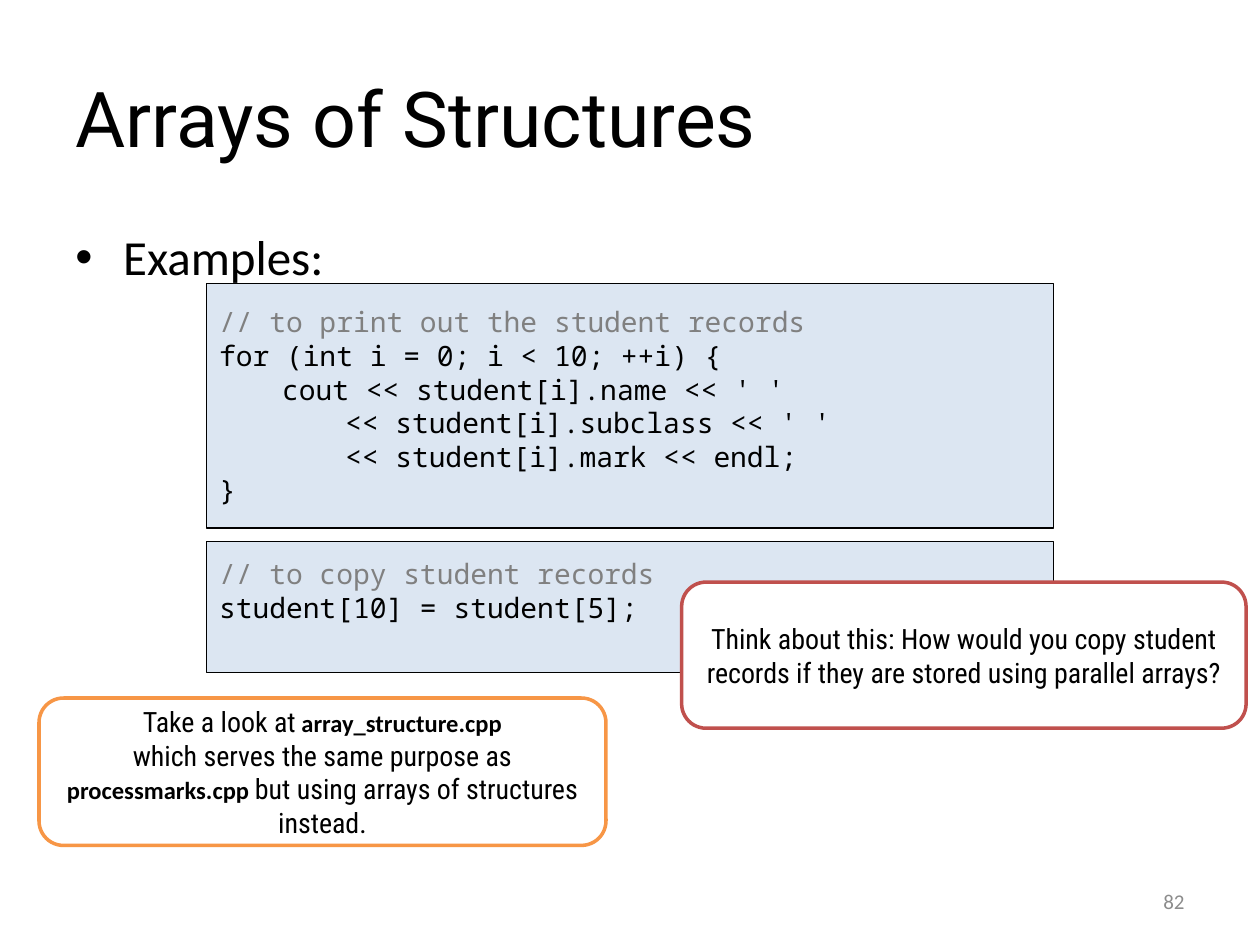
from lxml import etree
from pptx import Presentation
from pptx import util as u
from pptx.dml.color import RGBColor
from pptx.enum import shapes, text
from pptx.oxml.ns import qn

COLORS = {"ink": "000000", "comment": "808080", "number": "8C8C8C", "code": "DCE6F2",
          "paper": "FFFFFF", "red": "C0504D", "orange": "F79646"}

# Text styles: font, size, colour, bold
STYLES = {
    "title": ("Roboto", 44, "ink", False),
    "body": ("Calibri", 28, "ink", False),
    "number": ("Calibri", 12, "number", False),
    "comment": ("Noto Sans Mono", 16, "comment", False),
    "code": ("Noto Sans Mono", 16, "ink", False),
    "note": ("Roboto Condensed", 16, "ink", False),
    "gap": ("Cabin", 14, "ink", False),
    "file": ("Calibri", 14, "ink", True),
}

# Each paragraph is a list of (style, words)
TITLE = [[("title", "Arrays of Structures")]]
BODY = [[("body", "Examples:")]]
NUMBER = [[("number", "82")]]
PRINT_CODE = [
    [("comment", "// to print out the student records")],
    [("code", "for (int i = 0; i < 10; ++i) {")],
    [("code", "\tcout << student[i].name << ' '")],
    [("code", "\t\t<< student[i].subclass << ' '")],
    [("code", "\t\t<< student[i].mark << endl;")],
    [("code", "}")],
]
COPY_CODE = [
    [("comment", "// to copy student records")],
    [("code", "student[10] = student[5];")],
]
QUESTION = [[("note", "Think about this: How would you copy student records "
                      "if they are stored using parallel arrays?")]]
HINT = [
    [("note", "Take a look at"), ("gap", " "), ("file", "array_structure.cpp")],
    [("note", "which serves the same purpose as "), ("file", "processmarks.cpp "),
     ("note", "but using arrays of structures instead.")],
]

WIDTH, HEIGHT = 10, 7.5
MARGIN = WIDTH * 0.05
INNER = WIDTH - 2 * MARGIN
CODE_WIDTH = 6.72
CODE_LEFT = (WIDTH - CODE_WIDTH) / 2
TAB = 0.5
BULLET_INDENT = 0.38
CODE_LINE = 0.27

LEFT, CENTER, RIGHT = text.PP_ALIGN.LEFT, text.PP_ALIGN.CENTER, text.PP_ALIGN.RIGHT
MIDDLE, TOP = text.MSO_ANCHOR.MIDDLE, text.MSO_ANCHOR.TOP
RECT, ROUNDED = shapes.MSO_SHAPE.RECTANGLE, shapes.MSO_SHAPE.ROUNDED_RECTANGLE


def rgb(name):
    return RGBColor.from_string(COLORS[name])


def write(shape, paragraphs, align=LEFT, anchor=MIDDLE):
    frame = shape.text_frame
    frame.word_wrap = True
    frame.vertical_anchor = anchor
    for index, spans in enumerate(paragraphs):
        para = frame.add_paragraph() if index else frame.paragraphs[0]
        para.alignment = align
        for style, words in spans:
            span = para.add_run()
            span.text = words
            span.font.name, size, color, span.font.bold = STYLES[style]
            span.font.size = u.Pt(size)
            span.font.color.rgb = rgb(color)


def add_text(page, place, paragraphs, **layout):
    box = page.shapes.add_textbox(*map(u.Inches, place))
    write(box, paragraphs, **layout)
    return box


def add_panel(page, kind, place, fill, line, weight, paragraphs, align=LEFT):
    panel = page.shapes.add_shape(kind, *map(u.Inches, place))
    panel.shadow.inherit = False
    panel.fill.solid()
    panel.fill.fore_color.rgb = rgb(fill)
    panel.line.color.rgb = rgb(line)
    panel.line.width = u.Pt(weight)
    write(panel, paragraphs, align)
    return panel


def add_bullet(para):
    props = para._p.get_or_add_pPr()
    props.set("marL", str(u.Inches(BULLET_INDENT)))
    props.set("indent", str(-u.Inches(BULLET_INDENT)))
    etree.SubElement(props, qn("a:buFont"), typeface="Arial")
    etree.SubElement(props, qn("a:buChar"), char="•")


def add_tabs(para, count=2):
    stops = etree.SubElement(para._p.get_or_add_pPr(), qn("a:tabLst"))
    for step in range(1, count + 1):
        etree.SubElement(stops, qn("a:tab"), pos=str(u.Inches(TAB * step)), algn="l")


def main():
    deck = Presentation()
    deck.slide_width, deck.slide_height = u.Inches(WIDTH), u.Inches(HEIGHT)
    page = deck.slides.add_slide(deck.slide_layouts[6])

    add_text(page, (MARGIN, 0.3, INNER, 1.25), TITLE)
    body = add_text(page, (MARGIN, 1.75, INNER, 4.95), BODY, anchor=TOP)
    add_bullet(body.text_frame.paragraphs[0])
    add_text(page, (WIDTH - MARGIN - 2.33, 6.95, 2.33, 0.4), NUMBER, align=RIGHT)

    for top, height, code in ((2.25, 1.94, PRINT_CODE), (4.3, 1.04, COPY_CODE)):
        panel = add_panel(page, RECT, (CODE_LEFT, top, CODE_WIDTH, height),
                          "code", "ink", 0.75, code)
        for para in panel.text_frame.paragraphs:
            add_tabs(para)
    # The last panel keeps one line free below its code
    panel.text_frame.margin_bottom = u.Inches(0.05 + CODE_LINE)

    for place, line, note in (((5.41, 4.62, 4.48, 1.16), "red", QUESTION),
                              ((0.31, 5.54, 4.5, 1.17), "orange", HINT)):
        add_panel(page, ROUNDED, place, "paper", line, 2, note, CENTER)

    deck.save("out.pptx")


if __name__ == "__main__":
    main()
